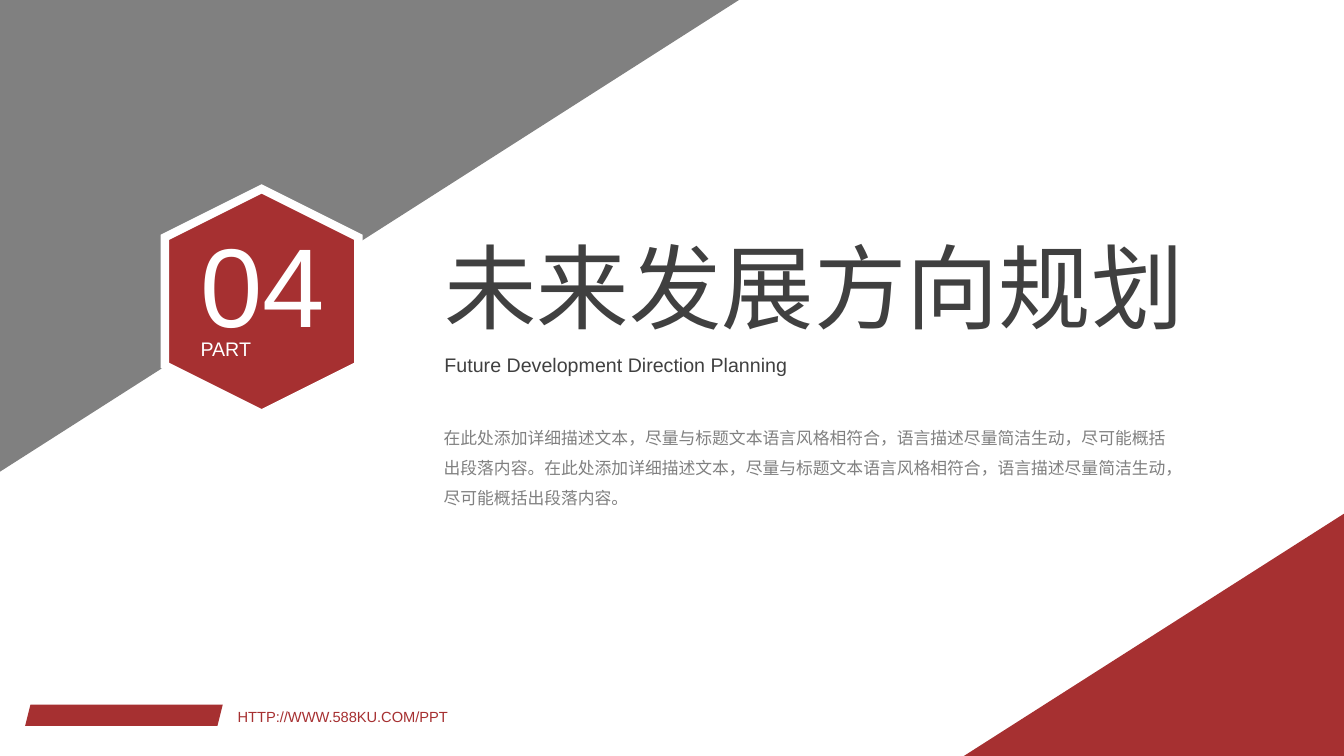
from lxml import etree
from pptx import Presentation
from pptx.dml.color import RGBColor
from pptx.enum import shapes, text
from pptx.oxml.ns import qn
from pptx.util import Inches, Pt

RED, GRAY, DARK, WHITE = "A63031", "808080", "404040", "FFFFFF"
LATIN, CHINESE = "Arial", "Noto Sans CJK SC"
Preset = shapes.MSO_SHAPE
LEFT, JUSTIFY = text.PP_ALIGN.LEFT, text.PP_ALIGN.JUSTIFY


def add_filled_shape(preset, box, color):
    shape = slide.shapes.add_shape(preset, *map(Inches, box))
    shape.shadow.inherit = False
    shape.fill.solid()
    shape.fill.fore_color.rgb = RGBColor.from_string(color)
    shape.line.fill.background()
    return shape


def add_label(words, box, size, font_name, color, align=LEFT, wrap=True):
    """Add a one-paragraph text box and return its text frame."""
    frame = slide.shapes.add_textbox(*map(Inches, box)).text_frame
    frame.word_wrap = wrap
    frame.auto_size = text.MSO_AUTO_SIZE.SHAPE_TO_FIT_TEXT
    paragraph = frame.paragraphs[0]
    paragraph.alignment = align
    run = paragraph.add_run()
    run.text = words
    run.font.size = Pt(size)
    run.font.name = font_name
    run.font.color.rgb = RGBColor.from_string(color)
    etree.SubElement(run.font._element, qn("a:ea")).set("typeface", font_name)
    return frame


prs = Presentation()
prs.slide_width, prs.slide_height = Inches(13.33), Inches(7.5)
slide = prs.slides.add_slide(prs.slide_layouts[6])

# Corner triangles
for box, color, flip in [
    ((0, 0, 7.33, 4.68), GRAY, "flipV"),
    ((9.56, 5.09, 3.78, 2.41), RED, "flipH"),
]:
    corner = add_filled_shape(Preset.RIGHT_TRIANGLE, box, color)
    corner.element.spPr.xfrm.set(flip, "1")

# Part number badge
badge = add_filled_shape(Preset.HEXAGON, (1.48, 2.03, 2.23, 1.92), RED)
badge.rotation = 90
badge.line.color.rgb = RGBColor.from_string(WHITE)
badge.line.width = Pt(6)
etree.SubElement(badge.element.spPr.find(qn("a:ln")), qn("a:miter")).set("lim", "800000")
add_label("04", (1.89, 2.09, 1.45, 1.45), 80, LATIN, WHITE, wrap=False)
add_label("PART", (1.89, 3.29, 1.29, 0.34), 14, LATIN, WHITE, JUSTIFY)

# Footer
add_filled_shape(Preset.PARALLELOGRAM, (0.25, 6.99, 1.96, 0.21), RED)
add_label("HTTP://WWW.588KU.COM/PPT", (2.26, 6.97, 2.93, 0.28), 10.5, LATIN, RED, JUSTIFY)

# Section title and description
add_label("未来发展方向规划", (4.31, 2.23, 7.61, 1.21), 66, CHINESE, DARK, wrap=False)
add_label("Future Development Direction Planning", (4.31, 3.45, 7.49, 0.34),
          14, LATIN, DARK, JUSTIFY)
description = add_label(
    "在此处添加详细描述文本，尽量与标题文本语言风格相符合，语言描述尽量简洁生动，尽可能概括出段落内容。"
    "在此处添加详细描述文本，尽量与标题文本语言风格相符合，语言描述尽量简洁生动，尽可能概括出段落内容。",
    (4.33, 4.1, 7.32, 0.93), 12, CHINESE, GRAY)
description.margin_left = description.margin_right = Inches(0.07)
description.margin_top = description.margin_bottom = Inches(0.04)
description.paragraphs[0].line_spacing = 1.5

prs.save("out.pptx")
